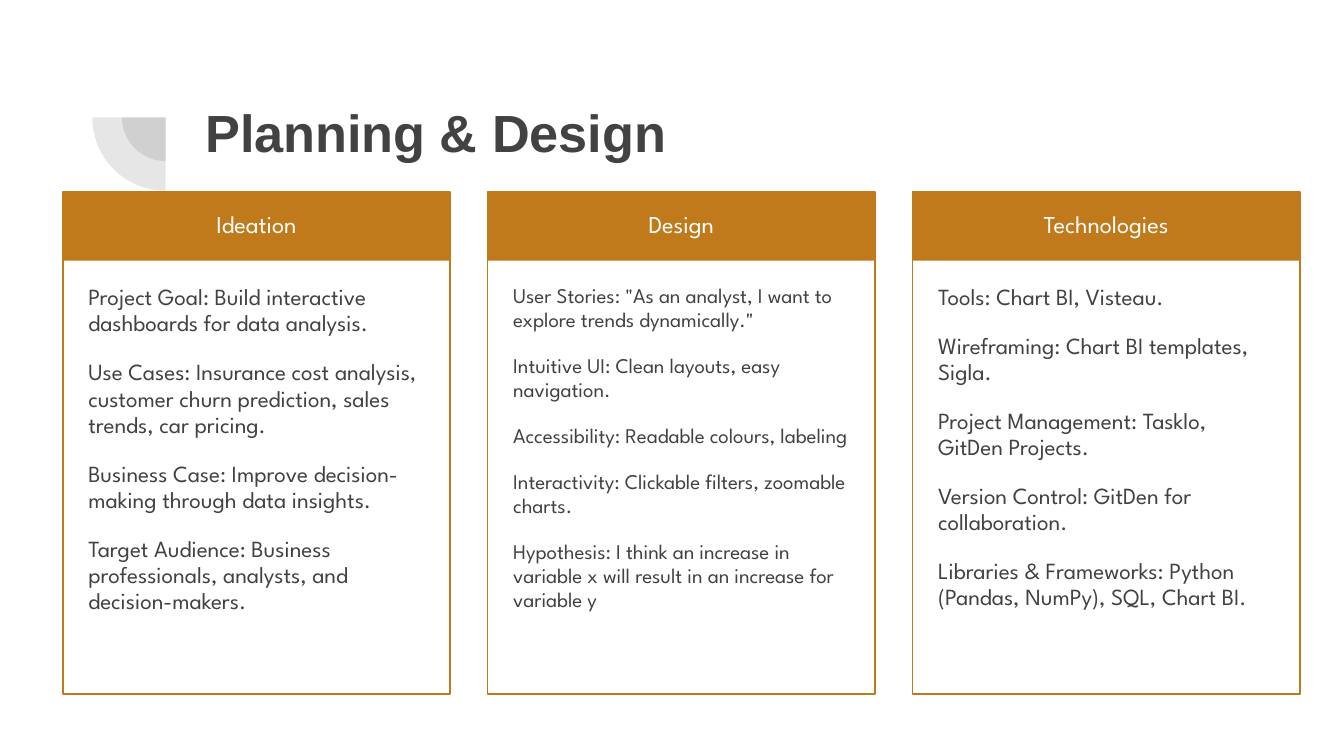
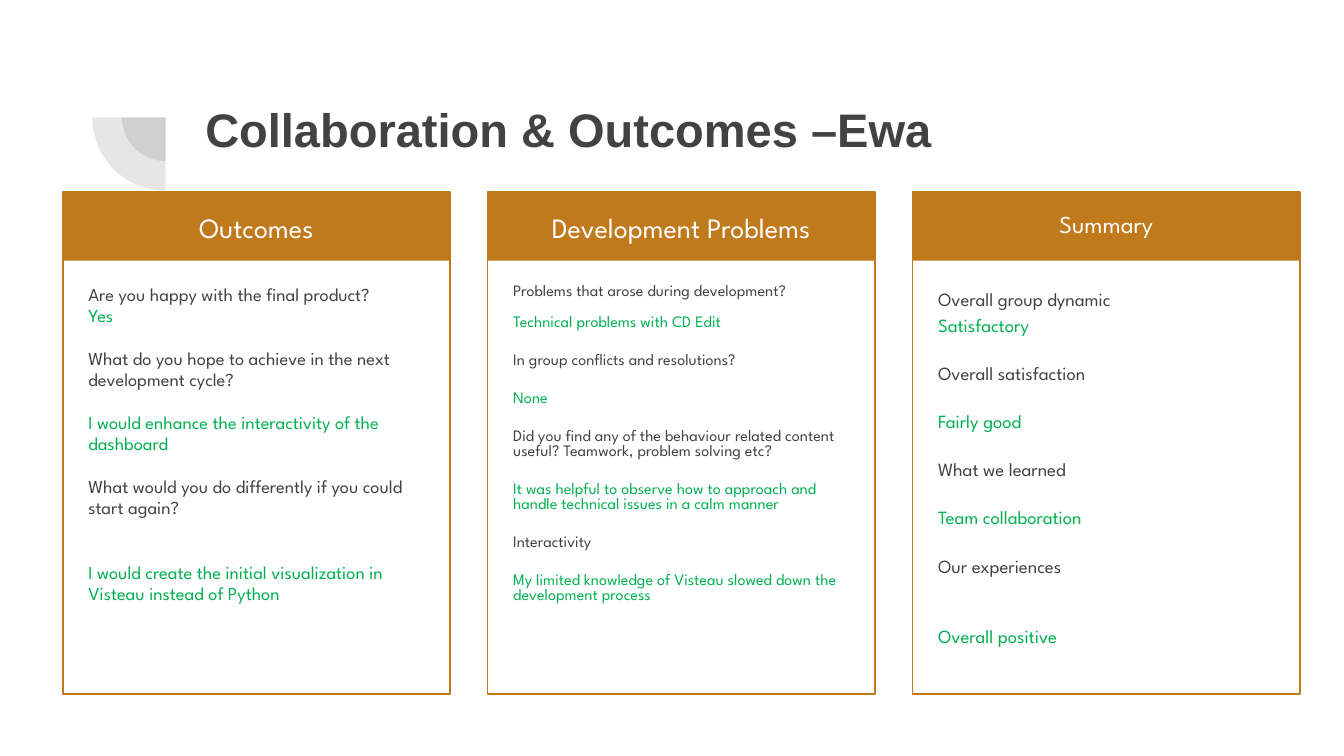
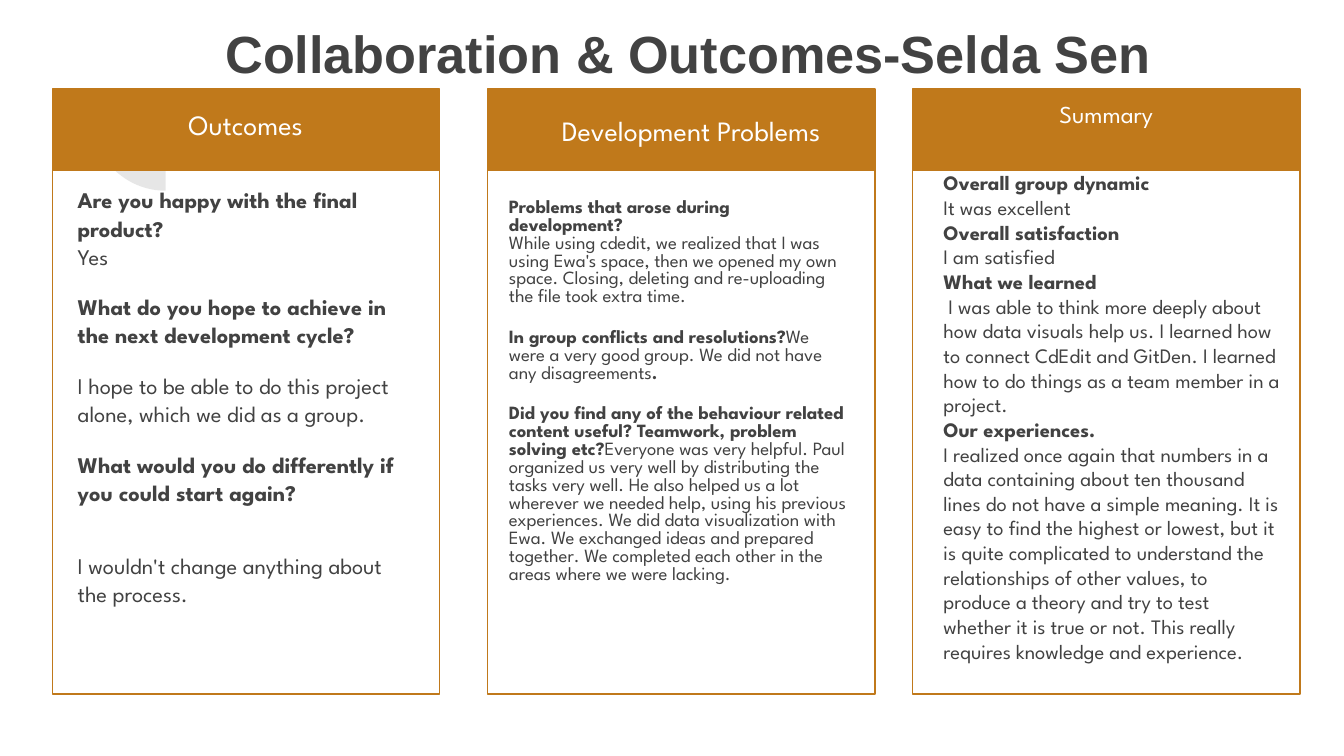
from dataclasses import dataclass
from typing import NamedTuple

from lxml.etree import SubElement
from pptx import Presentation
from pptx.dml.color import RGBColor
from pptx.enum.shapes import MSO_SHAPE
from pptx.enum.text import MSO_ANCHOR, PP_ALIGN
from pptx.oxml.ns import qn
from pptx.util import Cm, Pt

INK = RGBColor(0x42, 0x42, 0x42)
AMBER = RGBColor(0xC0, 0x79, 0x1B)
GREEN = RGBColor(0x00, 0xB0, 0x50)
WHITE = RGBColor(0xFF, 0xFF, 0xFF)
SANS, SPARTAN = "Arial", "League Spartan"

LEFT, STEP, WIDTH, BOTTOM = 1.19, 8.03, 7.32, 13.12
HEAD_W, HEAD_H, BODY_W = 6.93, 1.27, 6.88
ARC_X, ARC_Y, ARC_SIZES = 3.13, 2.22, (1.65, 2.77)
INSET = Cm(0.25)
FRAME = {"word_wrap": True, "vertical_anchor": MSO_ANCHOR.TOP, "margin_left": INSET,
         "margin_right": INSET, "margin_top": INSET, "margin_bottom": INSET}


class Run(NamedTuple):
    text: str
    bold: bool = False
    color: RGBColor = INK


class Para(NamedTuple):
    runs: tuple[Run, ...]
    before: float = 12
    after: float = 0


class Box(NamedTuple):
    """Place and size in centimetres."""
    left: float
    top: float
    width: float
    height: float


class Style(NamedTuple):
    size: float
    font: str = SPARTAN
    spacing: float = 1.0
    align: PP_ALIGN = PP_ALIGN.LEFT


@dataclass
class Card:
    head: str
    paras: list[Para]
    size: float
    spacing: float = 0.95
    head_size: float = 13
    shift: float = 0          # moves the whole card
    head_x: float = 0.19      # offsets from the card's corner
    head_y: float = 0
    body_x: float = 0.23
    body_y: float = 1.5


@dataclass
class Page:
    title: str
    cards: list[Card]
    size: float = 28
    title_x: float = 3.63
    title_y: float = 1.65
    top: float = 3.63
    band: float = 1.3


def plain(text: str, before: float = 12, after: float = 0) -> Para:
    return Para((Run(text),), before, after)


def bold(text: str, before: float = 12, after: float = 0) -> Para:
    return Para((Run(text, True),), before, after)


def green(text: str, before: float = 12, after: float = 0) -> Para:
    return Para((Run(text, color=GREEN),), before, after)


def assign(target, values: dict) -> None:
    for name, value in values.items():
        setattr(target, name, value)


def add_text(slide, box: Box, paras: list[Para], style: Style) -> None:
    frame = slide.shapes.add_textbox(*map(Cm, box)).text_frame
    assign(frame, FRAME)
    for i, para in enumerate(paras):
        line = frame.add_paragraph() if i else frame.paragraphs[0]
        assign(line, {"alignment": style.align, "line_spacing": style.spacing,
                      "space_before": Pt(para.before), "space_after": Pt(para.after)})
        for part in para.runs:
            run = line.add_run()
            run.text = part.text
            assign(run.font, {"name": style.font, "size": Pt(style.size), "bold": part.bold})
            run.font.color.rgb = part.color


def add_arcs(slide) -> None:
    """Draw the two faint quarter discs beside the title."""
    for size in ARC_SIZES:
        box = Box(ARC_X - size / 2, ARC_Y - size / 2, size, size)
        arc = slide.shapes.add_shape(MSO_SHAPE.PIE, *map(Cm, box))
        arc.adjustments[0], arc.adjustments[1] = 108, 162
        arc.rotation = 270
        arc.shadow.inherit = False
        arc.line.fill.background()
        arc.fill.solid()
        arc.fill.fore_color.rgb = INK
        tint = arc.fill._xPr.find(qn("a:solidFill"))[0]
        SubElement(tint, qn("a:alpha"), val="13000")


def add_rect(slide, box: Box, solid: bool) -> None:
    rect = slide.shapes.add_shape(MSO_SHAPE.RECTANGLE, *map(Cm, box))
    rect.shadow.inherit = False
    if solid:
        rect.fill.solid()
        rect.fill.fore_color.rgb = AMBER
        rect.line.fill.background()
    else:
        rect.fill.background()
        rect.line.color.rgb = AMBER
        rect.line.width = Pt(0.75)


def add_card(slide, card: Card, left: float, top: float, band: float) -> None:
    add_rect(slide, Box(left, top, WIDTH, band), True)
    add_rect(slide, Box(left, top, WIDTH, BOTTOM - top), False)
    add_text(slide, Box(left + card.head_x, top + card.head_y, HEAD_W, HEAD_H),
             [Para((Run(card.head, color=WHITE),), 0)],
             Style(card.head_size, spacing=1.15, align=PP_ALIGN.CENTER))
    body_top = top + card.body_y
    add_text(slide, Box(left + card.body_x, body_top, BODY_W, BOTTOM - body_top),
             card.paras, Style(card.size, spacing=card.spacing))


def add_page(deck, page: Page) -> None:
    slide = deck.slides.add_slide(deck.slide_layouts[6])
    add_arcs(slide)
    add_text(slide, Box(page.title_x, page.title_y, 19.53, 2.77),
             [bold(page.title, 0)], Style(page.size, SANS))
    for i, card in enumerate(page.cards):
        add_card(slide, card, LEFT + i * STEP + card.shift, page.top, page.band)


HAPPY = "Are you happy with the final product?"
HOPE = "What do you hope to achieve in the next development cycle?"
AGAIN = "What would you do differently if you could start again?"
ISSUES = "Problems that arose during development?"
CLASH = "In group conflicts and resolutions?"
USEFUL = ("Did you find any of the behaviour related content useful? "
          "Teamwork, problem solving etc?")

PLAN = Page("Planning & Design", [
    Card("Ideation", [
        plain("Project Goal: Build interactive dashboards for data analysis.", 0),
        plain("Use Cases: Insurance cost analysis, customer churn prediction, "
              "sales trends, car pricing."),
        plain("Business Case: Improve decision-making through data insights."),
        plain("Target Audience: Business professionals, analysts, and decision-makers."),
    ], 12.4),
    Card("Design", [
        plain('User Stories: "As an analyst, I want to explore trends dynamically."', 0),
        plain("Intuitive UI: Clean layouts, easy navigation."),
        plain("Accessibility: Readable colours, labeling"),
        plain("Interactivity: Clickable filters, zoomable charts."),
        plain("Hypothesis: I think an increase in variable x will result in "
              "an increase for variable y"),
    ], 11.2),
    Card("Technologies", [
        plain("Tools: Chart BI, Visteau.", 0),
        plain("Wireframing: Chart BI templates, Sigla."),
        plain("Project Management: Tasklo, GitDen Projects."),
        plain("Version Control: GitDen for collaboration."),
        plain("Libraries & Frameworks: Python (Pandas, NumPy), SQL, Chart BI."),
    ], 12.4),
])

EWA = Page("Collaboration & Outcomes –Ewa", [
    Card("Outcomes", [
        plain(HAPPY, 0),
        green("Yes", 0),
        plain(HOPE),
        green("I would enhance the interactivity of the dashboard"),
        plain(AGAIN, after=12),
        green("I would create the initial visualization in Visteau instead of Python"),
    ], 9.8, head_size=15),
    Card("Development Problems", [
        plain(ISSUES, 0),
        green("Technical problems with CD Edit", 8.3),
        plain(CLASH),
        green("None"),
        plain(USEFUL),
        green("It was helpful to observe how to approach and handle "
              "technical issues in a calm manner"),
        plain("Interactivity"),
        green("My limited knowledge of Visteau slowed down the development process"),
    ], 8.6, 0.8, head_size=15),
    Card("Summary", [
        plain("Overall group dynamic", 0),
        green("Satisfactory", 0),
        plain("Overall satisfaction"),
        green("Fairly good"),
        plain("What we learned"),
        green("Team collaboration"),
        plain("Our experiences", after=12),
        green("Overall positive"),
    ], 10, 1.15),
], size=25.2)

SELDA = Page("Collaboration & Outcomes-Selda Sen", [
    Card("Outcomes", [
        bold(HAPPY, 0),
        plain("Yes", 0),
        bold(HOPE),
        plain("I hope to be able to do this project alone, which we did as a group."),
        bold(AGAIN, after=12),
        plain("I wouldn't change anything about the process."),
    ], 12, 1.05, head_size=15, shift=-0.2, body_y=1.57),
    Card("Development Problems", [
        bold(ISSUES, 0),
        plain("While using cdedit, we realized that I was using Ewa's space, then we "
              "opened my own space. Closing, deleting and re-uploading the file took "
              "extra time.", 0),
        Para((Run(CLASH, True),
              Run("We were a very good group. We did not have any disagreements"),
              Run(".", True))),
        Para((Run(USEFUL, True),
              Run("Everyone was very helpful. Paul organized us very well by distributing "
                  "the tasks very well. He also helped us a lot wherever we needed help, "
                  "using his previous experiences. We did data visualization with Ewa. "
                  "We exchanged ideas and prepared together. We completed each other in "
                  "the areas where we were lacking."))),
    ], 10, 0.8, head_size=15, head_x=0.38, head_y=0.13, body_x=0.15, body_y=1.83),
    Card("Summary", [
        bold("Overall group dynamic", 0),
        plain("It was excellent", 0),
        bold("Overall satisfaction", 0),
        plain("I am satisfied", 0),
        bold("What we learned", 0),
        plain(" I was able to think more deeply about how data visuals help us. I learned "
              "how to connect CdEdit and GitDen. I learned how to do things as a team "
              "member in a project.", 0),
        bold("Our experiences.", 0),
        plain("I realized once again that numbers in a data containing about ten thousand "
              "lines do not have a simple meaning. It is easy to find the highest or "
              "lowest, but it is quite complicated to understand the relationships of "
              "other values, to produce a theory and try to test whether it is true or "
              "not. This really requires knowledge and experience.", 0),
    ], 11, 1.0, head_y=-0.13, body_x=0.33, body_y=1.29),
], title_x=4.01, title_y=0.15, top=1.68, band=1.55)


def main() -> None:
    deck = Presentation()
    assign(deck, {"slide_width": Cm(25.4), "slide_height": Cm(14.29)})
    for page in (PLAN, EWA, SELDA):
        add_page(deck, page)
    deck.save("out.pptx")


if __name__ == "__main__":
    main()
